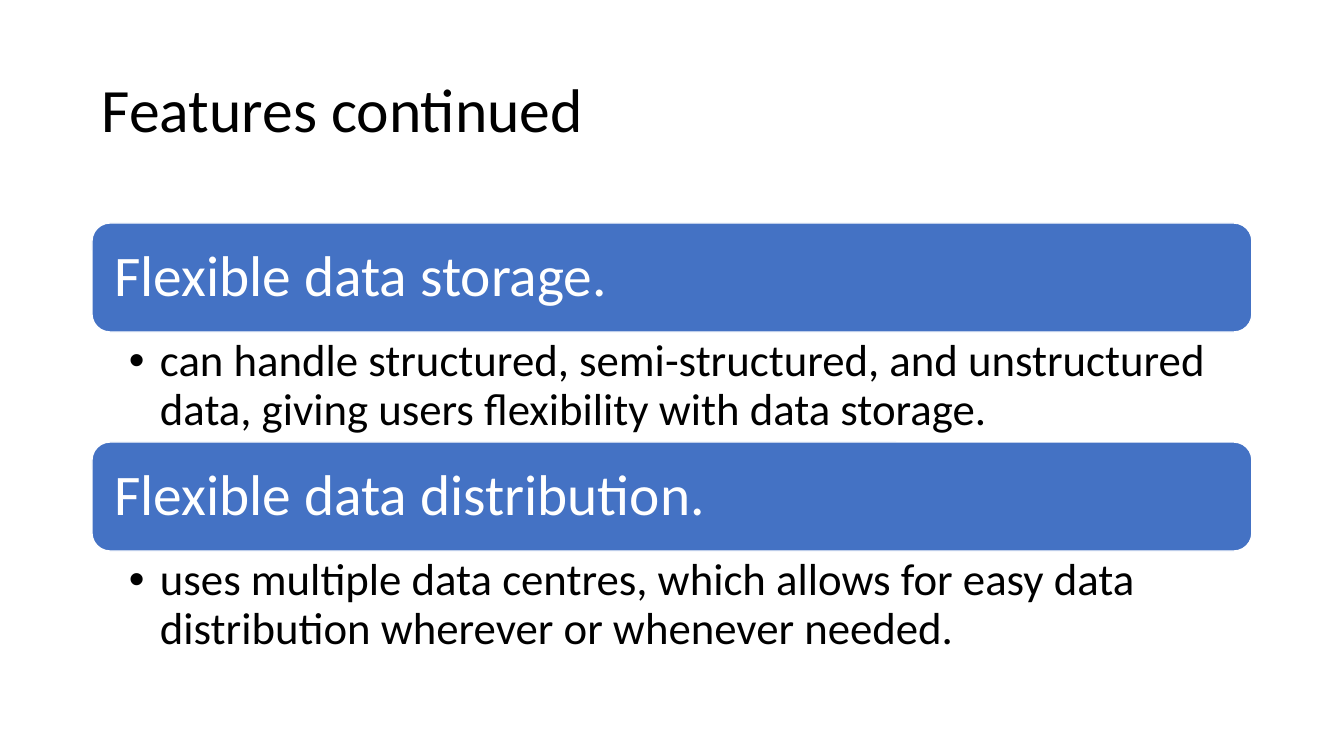
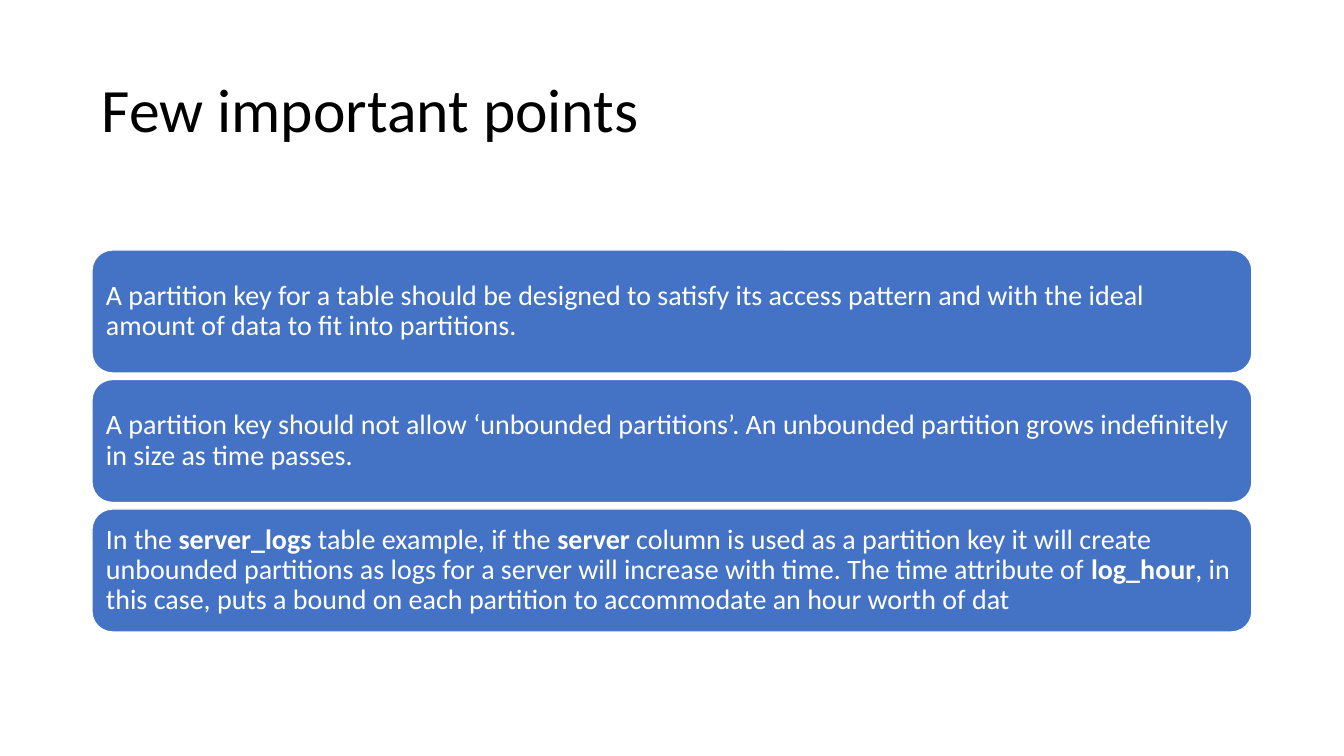
from lxml.etree import SubElement
from pptx import Presentation
from pptx.dml.color import RGBColor
from pptx.enum.shapes import MSO_SHAPE
from pptx.enum.text import MSO_ANCHOR, PP_ALIGN
from pptx.oxml.ns import qn
from pptx.util import Emu, Pt

FEATURES_TITLE = "Features continued"
FEATURES = [
    ("Flexible data storage.",
     "can handle structured, semi-structured, and unstructured data, "
     "giving users flexibility with data storage."),
    ("Flexible data distribution.",
     "uses multiple data centres, which allows for easy data distribution "
     "wherever or whenever needed."),
]
POINTS_TITLE = "Few important points"
POINTS = [
    [("A partition key for a table should be designed to satisfy its access pattern "
      "and with the ideal amount of data to fit into partitions.", False)],
    [("A partition key should not allow ‘unbounded partitions’. An unbounded partition "
      "grows indefinitely in size as time passes.", False)],
    [("In the ", False), ("server_logs", True),
     (" table example, if the ", False), ("server", True),
     (" column is used as a partition key it will create unbounded partitions as logs "
      "for a server will increase with time. The time attribute of ", False),
     ("log_hour", True),
     (", in this case, puts a bound on each partition to accommodate an hour worth of dat",
      False)],
]

COLORS = {"bar": "4472C4", "edge": "FFFFFF", "on_bar": "FFFFFF", "text": "000000"}
FONT = "Calibri"
PX_PER_INCH = 100.8
SLIDE_WIDTH, SLIDE_HEIGHT = 1344, 756
LEFT, WIDTH = 92, 1160
TITLE_TOP, TITLE_HEIGHT = 40, 146
FEATURES_TOP, HEADING_HEIGHT, DETAIL_HEIGHT = 223, 109, 110
POINTS_TOP, POINTS_BOTTOM, POINT_HEIGHT = 250, 632, 123
BULLET_INDENT = 31


def px(length):
    """Turn pixels into EMU."""
    return Emu(round(length * 914400 / PX_PER_INCH))


def color(name):
    """Look up a palette colour."""
    return RGBColor.from_string(COLORS[name])


def write(holder, pieces, size, ink, insets, anchor=MSO_ANCHOR.MIDDLE):
    """Fill a shape with one left-aligned paragraph of (text, bold) pieces."""
    frame = holder.text_frame
    frame.word_wrap = True
    frame.vertical_anchor = anchor
    frame.margin_left, frame.margin_top, frame.margin_right, frame.margin_bottom = map(px, insets)
    paragraph = frame.paragraphs[0]
    paragraph.alignment = PP_ALIGN.LEFT
    paragraph.line_spacing = 0.9
    for text, bold in pieces:
        run = paragraph.add_run()
        run.text = text
        run.font.name = FONT
        run.font.size = Pt(size)
        run.font.bold = bold
        run.font.color.rgb = color(ink)
    return paragraph


def add_title(slide, title):
    """Add the slide title."""
    box = slide.shapes.add_textbox(px(LEFT), px(TITLE_TOP), px(WIDTH), px(TITLE_HEIGHT))
    write(box, [(title, False)], 44, "text", (10, 5, 10, 5))


def add_bar(slide, top, height, pieces, size, inset):
    """Add a full-width rounded bar with its text."""
    bar = slide.shapes.add_shape(
        MSO_SHAPE.ROUNDED_RECTANGLE, px(LEFT), px(top), px(WIDTH), px(height))
    bar.shadow.inherit = False
    bar.fill.solid()
    bar.fill.fore_color.rgb = color("bar")
    bar.line.color.rgb = color("edge")
    bar.line.width = Pt(1)
    write(bar, pieces, size, "on_bar", [inset] * 4)


def add_detail(slide, top, detail):
    """Add the bulleted explanation below a heading bar."""
    box = slide.shapes.add_textbox(px(LEFT), px(top), px(WIDTH), px(DETAIL_HEIGHT))
    paragraph = write(box, [(detail, False)], 32, "text", (37, 6, 32, 6), MSO_ANCHOR.TOP)
    properties = paragraph._p.get_or_add_pPr()
    properties.set("marL", str(px(BULLET_INDENT)))
    properties.set("indent", str(-px(BULLET_INDENT)))
    SubElement(properties, qn("a:buFont"), typeface="Arial")
    SubElement(properties, qn("a:buChar"), char="•")


def add_slide(deck, title):
    """Add a blank slide with a title."""
    slide = deck.slides.add_slide(deck.slide_layouts[6])
    add_title(slide, title)
    return slide


def main():
    """Build and save the deck."""
    deck = Presentation()
    deck.slide_width, deck.slide_height = px(SLIDE_WIDTH), px(SLIDE_HEIGHT)

    features = add_slide(deck, FEATURES_TITLE)
    for index, (heading, detail) in enumerate(FEATURES):
        top = FEATURES_TOP + index * (HEADING_HEIGHT + DETAIL_HEIGHT)
        add_bar(features, top, HEADING_HEIGHT, [(heading, False)], 41, 17)
        add_detail(features, top + HEADING_HEIGHT, detail)

    points = add_slide(deck, POINTS_TITLE)
    step = (POINTS_BOTTOM - POINTS_TOP - POINT_HEIGHT) / (len(POINTS) - 1)
    for index, pieces in enumerate(POINTS):
        add_bar(points, POINTS_TOP + index * step, POINT_HEIGHT, pieces, 20, 8)

    deck.save("out.pptx")


if __name__ == "__main__":
    main()
